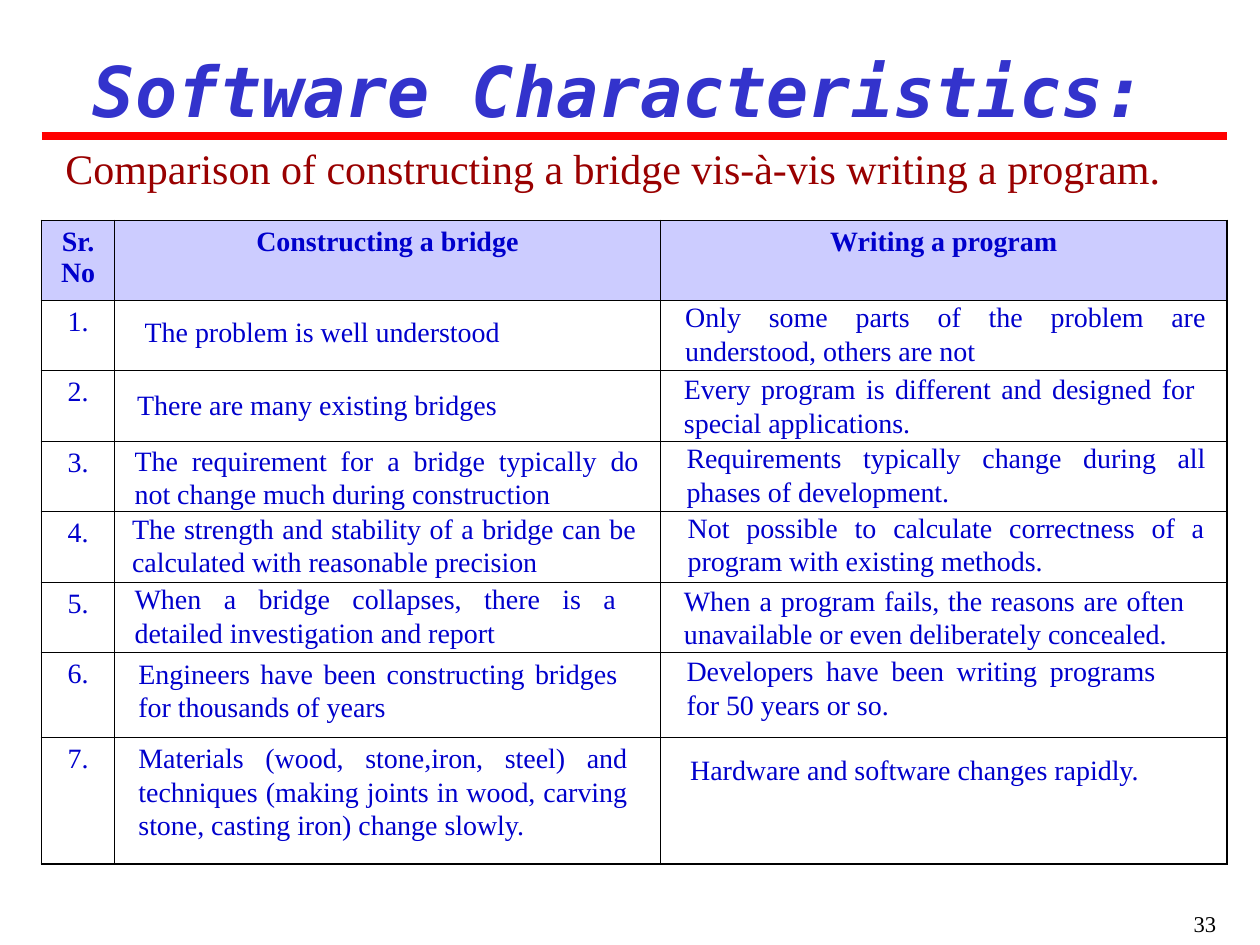
from lxml import etree
from pptx import Presentation
from pptx.dml.color import RGBColor
from pptx.enum.shapes import MSO_CONNECTOR
from pptx.enum.text import MSO_AUTO_SIZE, PP_ALIGN as Align
from pptx.oxml.ns import qn
from pptx.util import Inches, Pt

SERIF, MONO = "Times New Roman", "DejaVu Sans Mono"
INK, BODY_BLUE, HEADER_FILL = "000000", "0000CC", "CCCCFF"
THIN, THICK = 0.45, 1.08

TABLE_LEFT, TABLE_TOP = 0.33, 1.75
COLUMNS = [0.58, 4.33, 4.5]
ROWS = [0.63] + [0.56] * 5 + [0.67, 1.01]
HEADINGS = ["Sr.No", "Constructing a bridge", "Writing a program"]

# Each statement: offset from its cell's left and top, width, height, wording
BRIDGE = [
    (0.14, 0.07, 4.03, 0.37, "The problem is well understood"),
    (0.08, 0.09, 3.67, 0.37, "There are many existing bridges"),
    (0.06, -0.03, 4.2, 0.64, "The requirement for a bridge typically do not "
     "change much during construction"),
    (0.04, -0.05, 4.2, 0.64, "The strength and stability of a bridge can be "
     "calculated with reasonable precision"),
    (0.06, -0.05, 4.02, 0.64, "When a bridge collapses, there is a detailed "
     "investigation and report"),
    (0.09, -0.02, 4, 0.64, "Engineers have been constructing bridges for "
     "thousands of years"),
    (0.09, -0.02, 4.08, 0.9, "Materials (wood, stone,iron, steel) and techniques "
     "(making joints in wood, carving stone, casting iron) change slowly."),
]
PROGRAM = [
    (0.1, -0.05, 4.33, 0.64, "Only some parts of the problem are understood, "
     "others are not"),
    (0.09, -0.04, 4.25, 0.64, "Every program is different and designed for "
     "special applications."),
    (0.11, -0.05, 4.32, 0.64, "Requirements typically change during all phases "
     "of development."),
    (0.12, -0.06, 4.3, 0.64, "Not possible to calculate correctness of a program "
     "with existing methods."),
    (0.09, -0.04, 4.17, 0.64, "When a program fails, the reasons are often "
     "unavailable or even deliberately concealed."),
    (0.11, -0.04, 3.92, 0.64, "Developers have been writing programs for 50 "
     "years or so."),
    (0.14, 0.07, 4, 0.37, "Hardware and software changes rapidly."),
]


def rgb(value):
    return RGBColor.from_string(value)


def write(frame, text, size, color, align=Align.LEFT, before=0, font=SERIF,
          bold=False, italic=False):
    frame.text = text
    paragraph = frame.paragraphs[0]
    paragraph.alignment, paragraph.space_before = align, Pt(before)
    style = paragraph.runs[0].font
    style.name, style.size, style.bold, style.italic = font, Pt(size), bold, italic
    style.color.rgb = rgb(color)


def add_text(slide, left, top, width, height, text, size, color, **style):
    box = slide.shapes.add_textbox(*map(Inches, (left, top, width, height)))
    frame = box.text_frame
    frame.word_wrap = True
    frame.auto_size = MSO_AUTO_SIZE.NONE
    write(frame, text, size, color, **style)


def set_borders(cell, widths):
    """Draw the left, right, top and bottom edges, ahead of the cell's fill."""
    properties = cell._tc.get_or_add_tcPr()
    for place, (edge, width) in enumerate(zip("LRTB", widths)):
        line = etree.Element(qn(f"a:ln{edge}"), w=str(Pt(width)))
        fill = etree.SubElement(line, qn("a:solidFill"))
        etree.SubElement(fill, qn("a:srgbClr"), val=INK)
        properties.insert(place, line)


def add_comparison_table(slide):
    table = slide.shapes.add_table(
        len(ROWS), len(COLUMNS), Inches(TABLE_LEFT), Inches(TABLE_TOP),
        Inches(sum(COLUMNS)), Inches(sum(ROWS))).table
    table.first_row = table.horz_banding = False
    for column, width in zip(table.columns, COLUMNS):
        column.width = Inches(width)
    last_row, last_column = len(ROWS) - 1, len(COLUMNS) - 1
    for r, height in enumerate(ROWS):
        table.rows[r].height = Inches(height)
        for c, heading in enumerate(HEADINGS):
            cell = table.cell(r, c)
            if r == 0:
                cell.fill.solid()
                cell.fill.fore_color.rgb = rgb(HEADER_FILL)
            else:
                cell.fill.background()
            outer = (c == 0, c == last_column, r == 0, r == last_row)
            set_borders(cell, [THICK if edge else THIN for edge in outer])
            if r == 0 or c == 0:
                write(cell.text_frame, f"{r}." if r else heading, 16, BODY_BLUE,
                      align=Align.CENTER, before=4, bold=r == 0)


def add_statements(slide, column, statements):
    left = TABLE_LEFT + sum(COLUMNS[:column])
    for row, (dx, dy, width, height, text) in enumerate(statements, start=1):
        top = TABLE_TOP + sum(ROWS[:row])
        align = Align.JUSTIFY if height > 0.5 else Align.LEFT
        add_text(slide, left + dx, top + dy, width, height, text, 16, BODY_BLUE,
                 align=align, before=4)


def add_rule(slide, left, right, y, color, weight):
    rule = slide.shapes.add_connector(
        MSO_CONNECTOR.STRAIGHT, Inches(left), Inches(y), Inches(right), Inches(y))
    rule.line.color.rgb = rgb(color)
    rule.line.width = Pt(weight)
    etree.SubElement(rule._element.spPr, qn("a:effectLst"))


def main():
    deck = Presentation()
    deck.slide_width, deck.slide_height = Inches(10), Inches(7.5)
    slide = deck.slides.add_slide(deck.slide_layouts[6])

    add_text(slide, 7.67, 7.17, 2.08, 0.33, "33", 12.9, INK, align=Align.RIGHT)
    add_text(slide, 0.42, 1.08, 9.25, 0.5,
             "Comparison of constructing a bridge vis-à-vis writing a program.",
             24, "990000", before=15)
    add_comparison_table(slide)
    add_text(slide, 0.25, 0.33, 9.33, 0.77, "Software Characteristics:", 40,
             "3333CC", align=Align.CENTER, before=25, font=MONO, bold=True,
             italic=True)
    add_statements(slide, 1, BRIDGE)
    add_statements(slide, 2, PROGRAM)
    add_rule(slide, TABLE_LEFT, TABLE_LEFT + sum(COLUMNS), 1.08, "FF0000", 4.5)
    deck.save("out.pptx")


if __name__ == "__main__":
    main()
